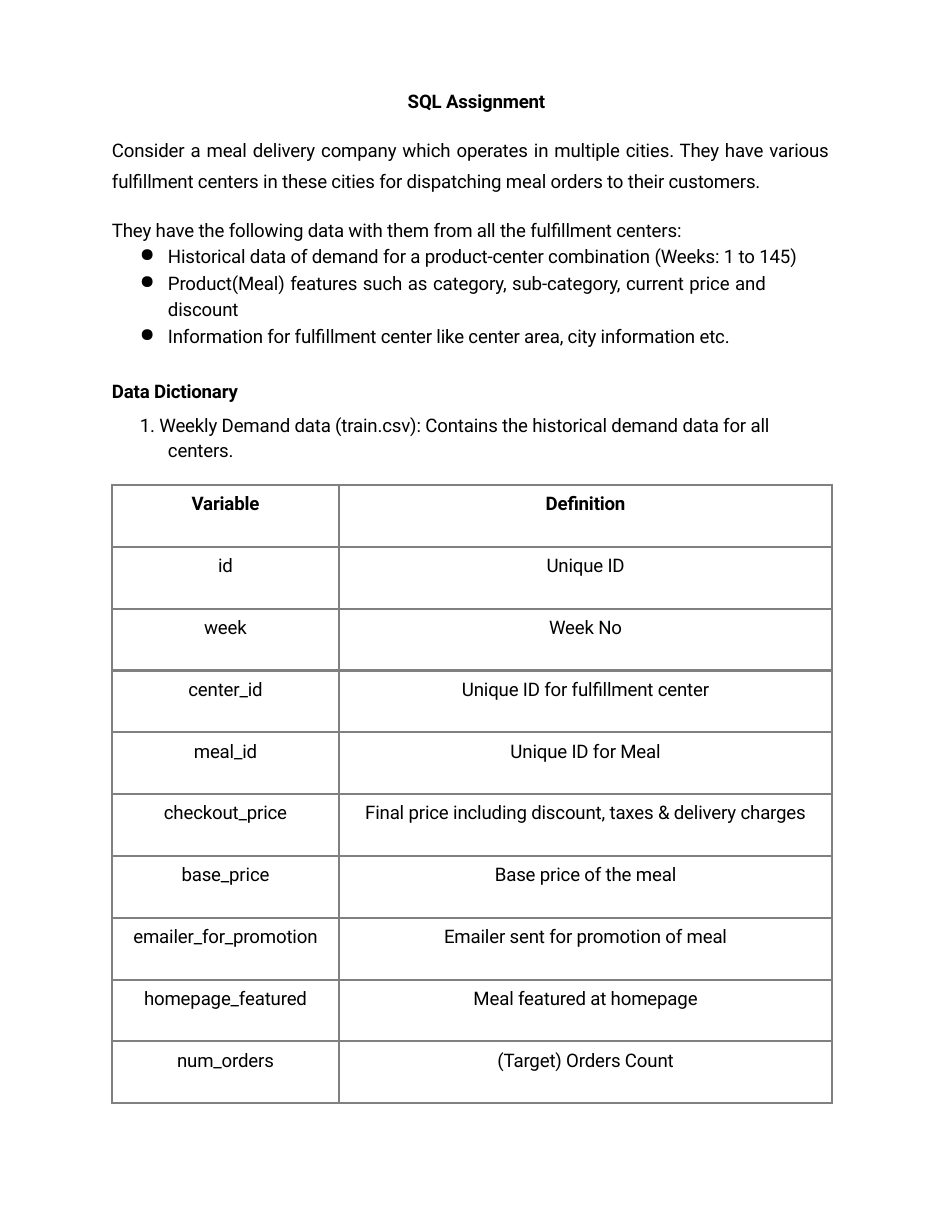
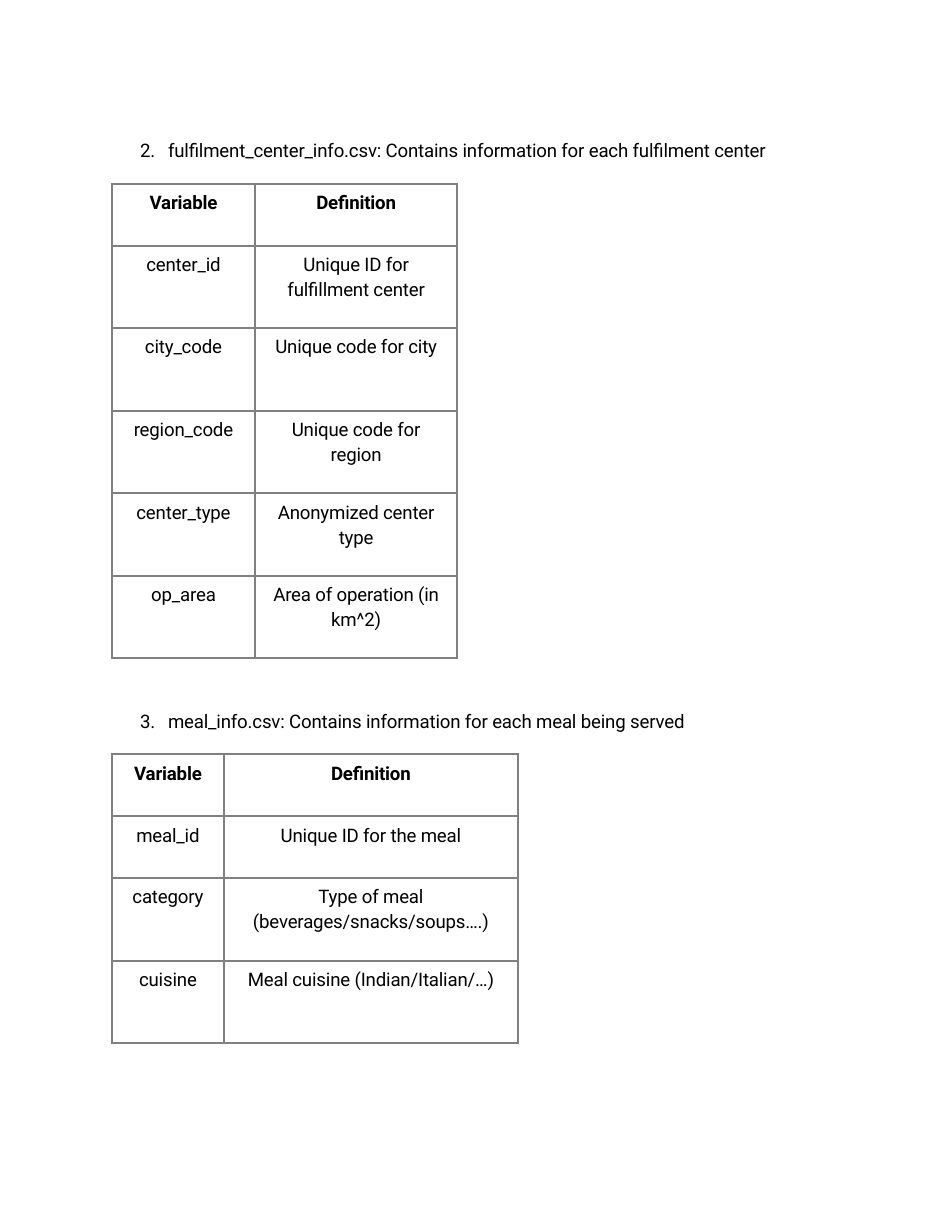
from dataclasses import dataclass

from lxml.etree import SubElement
from pptx import Presentation
from pptx.dml.color import RGBColor
from pptx.enum.text import MSO_ANCHOR, PP_ALIGN
from pptx.oxml.ns import qn
from pptx.util import Pt


@dataclass(frozen=True)
class Theme:
    ink: RGBColor = RGBColor(0, 0, 0)
    rule: str = "808080"
    rule_width: float = 1.5
    font: str = "Roboto"
    size: float = 12
    tracking: float = -0.1
    left: float = 72
    header_row: float = 39.75
    tall_row: float = 53.1
    cell_inset: float = 5.4
    line_gap: float = 2.1


THEME = Theme()
CENTER, JUSTIFY = PP_ALIGN.CENTER, PP_ALIGN.JUSTIFY
HANGING = dict(left=36.7, hang=18)
BULLET = dict(HANGING, bullet="●")
HEADERS = ("Variable", "Deﬁnition")

INTRODUCTION = [
    ("SQL Assignment", dict(bold=True, align=CENTER, before=1)),
    ("Consider a meal delivery company which operates in multiple cities. They have various "
     "fulﬁllment centers in these cities for dispatching meal orders to their customers.",
     dict(left=0.7, right=8.4, align=JUSTIFY, spacing=1.38, before=12)),
    ("They have the following data with them from all the fulﬁllment centers:",
     dict(left=0.7, before=17)),
    ("Historical data of demand for a product-center combination (Weeks: 1 to 145)",
     dict(BULLET, before=2.1)),
    ("Product(Meal) features such as category, sub-category, current price and discount",
     dict(BULLET, right=49, align=JUSTIFY, spacing=1.2)),
    ("Information for fulﬁllment center like center area, city information etc.",
     dict(BULLET, before=2.9)),
    ("Data Dictionary", dict(left=0.7, bold=True, before=21)),
    ("1. Weekly Demand data (train.csv): Contains the historical demand data for all centers.",
     dict(HANGING, right=40, spacing=1.15, before=4.8)),
]

DEMAND = [
    ("id", "Unique ID"),
    ("week", "Week No"),
    ("center_id", "Unique ID for fulﬁllment center"),
    ("meal_id", "Unique ID for Meal"),
    ("checkout_price", "Final price including discount, taxes & delivery charges"),
    ("base_price", "Base price of the meal"),
    ("emailer_for_promotion", "Emailer sent for promotion of meal"),
    ("homepage_featured", "Meal featured at homepage"),
    ("num_orders", "(Target) Orders Count"),
]

CENTERS = [
    ("center_id", "Unique ID for\nfulﬁllment center"),
    ("city_code", "Unique code for city"),
    ("region_code", "Unique code for\nregion"),
    ("center_type", "Anonymized center\ntype"),
    ("op_area", "Area of operation (in\nkm^2)"),
]

MEALS = [
    ("meal_id", "Unique ID for the meal"),
    ("category", "Type of meal\n(beverages/snacks/soups….)"),
    ("cuisine", "Meal cuisine (Indian/Italian/…)"),
]

PAGES = [
    dict(
        passages=[(56.9, 241, 71.3, 470.2, INTRODUCTION)],
        dictionaries=[(311.8, (146, 317), DEMAND, 9)],
    ),
    dict(
        passages=[
            (88.6, 16.6, 89.3, 430, [("2.\tfulﬁlment_center_info.csv: Contains information for "
                                     "each fulﬁlment center", dict(left=18.7, hang=18, before=1))]),
            (455.8, 16.6, 89.3, 430, [("3.\tmeal_info.csv: Contains information for each meal "
                                      "being served", dict(left=18.7, hang=18, before=1))]),
        ],
        dictionaries=[
            (118.1, (92, 130), CENTERS, 0),
            (485, (72, 189), MEALS, 1),
        ],
    ),
]


def write(paragraph, text, bold=False, align=PP_ALIGN.LEFT, before=0, spacing=1.0,
          left=0, right=0, hang=0, bullet=None):
    paragraph.alignment = align
    paragraph.space_before = Pt(before)
    paragraph.line_spacing = spacing
    properties = paragraph._p.get_or_add_pPr()
    for name, length in (("marL", left), ("marR", right), ("indent", -hang)):
        properties.set(name, str(int(Pt(length))))
    if bullet:
        SubElement(properties, qn("a:buChar"), char=bullet)
    run = paragraph.add_run()
    run.text = text
    run.font.name = THEME.font
    run.font.size = Pt(THEME.size)
    run.font.bold = bold
    run.font.color.rgb = THEME.ink
    run._r.get_or_add_rPr().set("spc", str(round(THEME.tracking * 100)))


def next_paragraph(frame, index):
    return frame.add_paragraph() if index else frame.paragraphs[0]


def add_passage(slide, top, height, left, width, passage):
    frame = slide.shapes.add_textbox(Pt(left), Pt(top), Pt(width), Pt(height)).text_frame
    frame.word_wrap = True
    frame.margin_left = frame.margin_right = frame.margin_bottom = 0
    frame.margin_top = Pt(0.7)
    for index, (text, style) in enumerate(passage):
        write(next_paragraph(frame, index), text, **style)


def rule_cell(cell):
    properties = cell._tc.get_or_add_tcPr()
    for position, side in enumerate(("lnL", "lnR", "lnT", "lnB")):
        line = SubElement(properties, qn(f"a:{side}"), w=str(int(Pt(THEME.rule_width))))
        SubElement(SubElement(line, qn("a:solidFill")), qn("a:srgbClr"), val=THEME.rule)
        properties.insert(position, line)


def add_dictionary(slide, top, widths, entries, short_entries):
    rows = [HEADERS, *entries]
    heights = [THEME.header_row if index <= short_entries else THEME.tall_row
               for index in range(len(rows))]
    table = slide.shapes.add_table(len(rows), len(widths), Pt(THEME.left), Pt(top),
                                   Pt(sum(widths)), Pt(sum(heights))).table
    table.first_row = table.horz_banding = False
    for column, width in zip(table.columns, widths):
        column.width = Pt(width)
    for row_index, (row, height) in enumerate(zip(rows, heights)):
        table.rows[row_index].height = Pt(height)
        for column_index, entry in enumerate(row):
            cell = table.cell(row_index, column_index)
            cell.fill.background()
            cell.vertical_anchor = MSO_ANCHOR.TOP
            cell.margin_left = cell.margin_right = cell.margin_bottom = 0
            cell.margin_top = Pt(THEME.cell_inset)
            rule_cell(cell)
            for index, line in enumerate(entry.split("\n")):
                write(next_paragraph(cell.text_frame, index), line, bold=row_index == 0,
                      align=CENTER, before=THEME.line_gap if index else 0)


def main():
    deck = Presentation()
    deck.slide_width, deck.slide_height = Pt(612), Pt(792)
    for page in PAGES:
        slide = deck.slides.add_slide(deck.slide_layouts[6])
        for passage in page["passages"]:
            add_passage(slide, *passage)
        for dictionary in page["dictionaries"]:
            add_dictionary(slide, *dictionary)
    deck.save("out.pptx")


if __name__ == "__main__":
    main()
